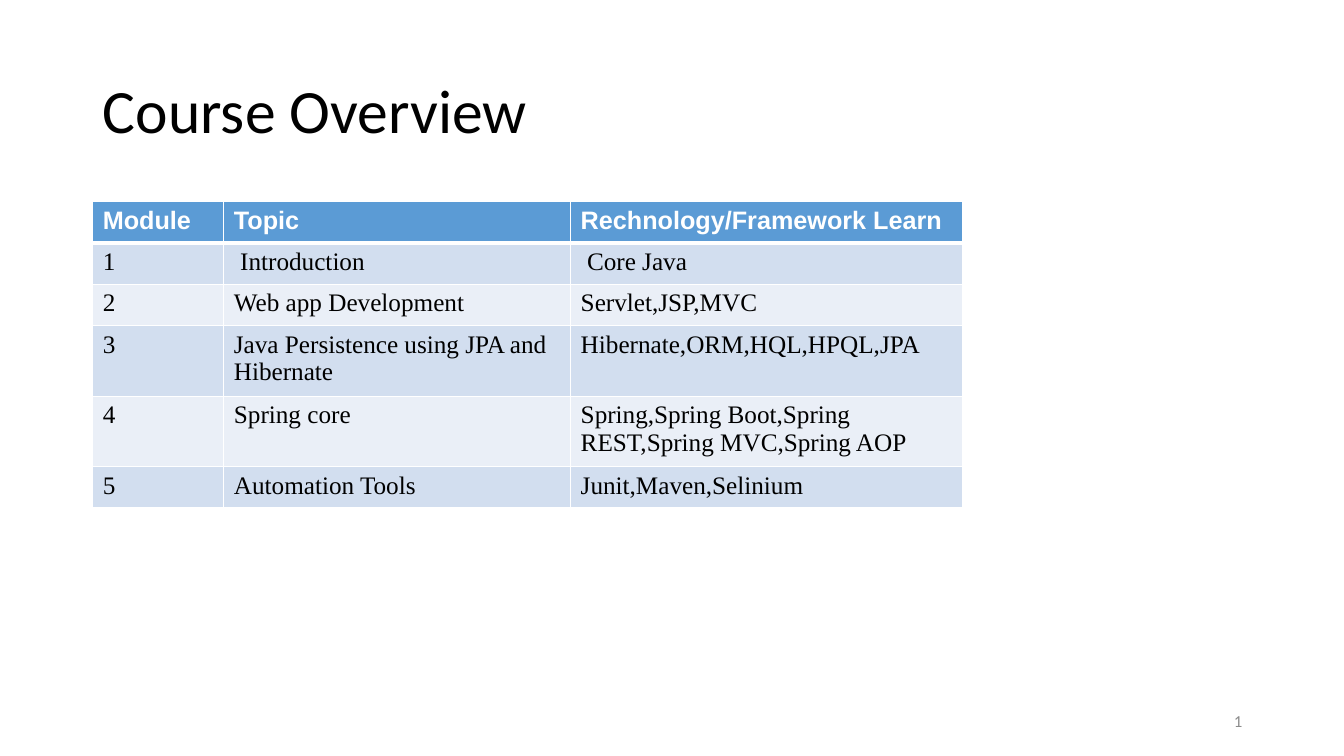
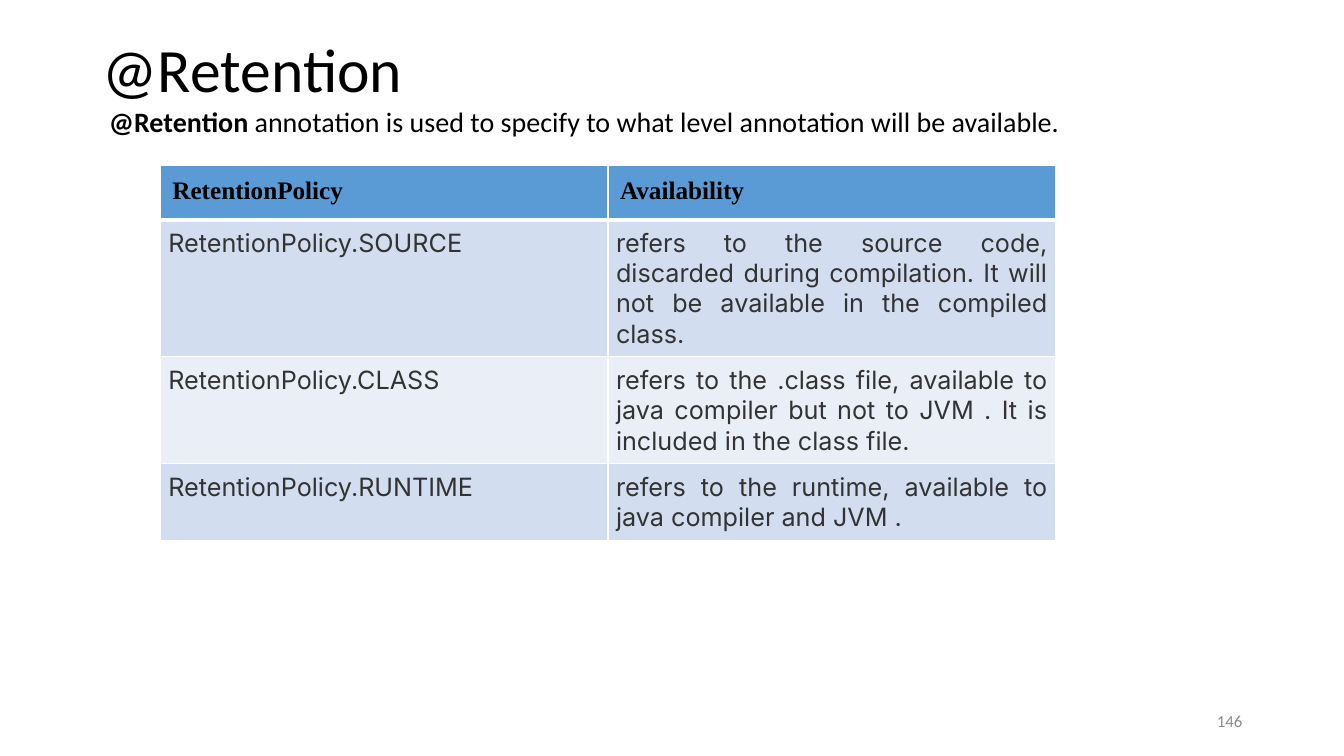
from dataclasses import dataclass

from lxml.etree import SubElement
from pptx import Presentation
from pptx.dml.color import RGBColor
from pptx.enum.text import MSO_ANCHOR, MSO_AUTO_SIZE, PP_ALIGN
from pptx.oxml import parse_xml
from pptx.oxml.ns import nsdecls, qn
from pptx.presentation import Presentation as Deck
from pptx.slide import Slide
from pptx.table import _Cell
from pptx.text.text import _Paragraph
from pptx.util import Inches, Pt

# Shared colours and fonts
BLACK = RGBColor(0x00, 0x00, 0x00)
WHITE = RGBColor(0xFF, 0xFF, 0xFF)
DARK_GRAY = RGBColor(0x33, 0x33, 0x33)
NUMBER_GRAY = RGBColor(0x8C, 0x8C, 0x8C)
HEADER_BLUE = RGBColor(0x5B, 0x9B, 0xD5)
BAND_COLORS = (RGBColor(0xD2, 0xDE, 0xEF), RGBColor(0xEA, 0xEF, 0xF7))
MAIN_FONT = "Calibri"
SERIF_FONT = "Times New Roman"

# Shared measures, in inches unless named otherwise
LEFT, CONTENT_WIDTH = 0.92, 11.5
ROW_HEIGHT = 0.41
THIN_POINTS, THICK_POINTS = 1, 3
TITLE_ONLY, TITLE_AND_CONTENT = 5, 1


@dataclass(frozen=True)
class TextStyle:
    font: str
    size: int
    color: RGBColor
    bold: bool = False


@dataclass(frozen=True)
class CellStyle:
    text: TextStyle
    side_margin: float = 0.1
    end_margin: float = 0.05
    align: PP_ALIGN = PP_ALIGN.LEFT


@dataclass(frozen=True)
class TableSpec:
    left: float
    top: float
    column_widths: tuple[float, ...]
    header: CellStyle
    body: CellStyle
    rows: tuple[tuple[str, ...], ...]


TITLE_STYLE = TextStyle(MAIN_FONT, 44, BLACK)
NUMBER_STYLE = TextStyle(MAIN_FONT, 12, NUMBER_GRAY)
LEAD_STYLE = TextStyle(MAIN_FONT, 20, BLACK)
LEAD_BOLD_STYLE = TextStyle(MAIN_FONT, 20, BLACK, bold=True)

COURSE_TABLE = TableSpec(
    left=LEFT,
    top=2,
    column_widths=(1.3, 3.44, 3.89),
    header=CellStyle(TextStyle("Arial", 18, WHITE, bold=True)),
    body=CellStyle(TextStyle(SERIF_FONT, 18, BLACK)),
    rows=(
        ("Module", "Topic", "Rechnology/Framework Learn"),
        ("1", " Introduction", " Core Java"),
        ("2", "Web app Development", "Servlet,JSP,MVC"),
        ("3", "Java Persistence using JPA and Hibernate", "Hibernate,ORM,HQL,HPQL,JPA"),
        ("4", "Spring core", "Spring,Spring Boot,Spring REST,Spring MVC,Spring AOP"),
        ("5", "Automation Tools", "Junit,Maven,Selinium"),
    ),
)

RETENTION_TABLE = TableSpec(
    left=1.59,
    top=1.64,
    column_widths=(4.44, 4.44),
    header=CellStyle(TextStyle(SERIF_FONT, 18, BLACK, bold=True), 0.12, 0.12),
    body=CellStyle(TextStyle("Inter", 18, DARK_GRAY), 0.08, 0.08, PP_ALIGN.JUSTIFY),
    rows=(
        ("RetentionPolicy", "Availability"),
        (
            "RetentionPolicy.SOURCE",
            "refers to the source code, discarded during compilation. "
            "It will not be available in the compiled class.",
        ),
        (
            "RetentionPolicy.CLASS",
            "refers to the .class file, available to java compiler but not to JVM . "
            "It is included in the class file.",
        ),
        (
            "RetentionPolicy.RUNTIME",
            "refers to the runtime, available to java compiler and JVM .",
        ),
    ),
)


def add_span(para: _Paragraph, text: str, style: TextStyle) -> None:
    span = para.add_run()
    span.text = text
    span.font.name = style.font
    span.font.size = Pt(style.size)
    span.font.bold = style.bold
    span.font.color.rgb = style.color


def add_page(deck: Deck, layout: int, title: str, top: float, height: float, number: str) -> Slide:
    """Add a page with its title and page number."""
    page = deck.slides.add_slide(deck.slide_layouts[layout])
    box = page.shapes.title
    box.left, box.top = Inches(LEFT), Inches(top)
    box.width, box.height = Inches(CONTENT_WIDTH), Inches(height)
    frame = box.text_frame
    frame.auto_size = MSO_AUTO_SIZE.NONE
    frame.vertical_anchor = MSO_ANCHOR.MIDDLE
    para = frame.paragraphs[0]
    para.alignment = PP_ALIGN.LEFT
    para.line_spacing = 0.9
    add_span(para, title, TITLE_STYLE)

    # Page number, bottom right
    number_box = page.shapes.add_textbox(Inches(9.42), Inches(6.95), Inches(3), Inches(0.4))
    number_frame = number_box.text_frame
    number_frame.word_wrap = True
    number_frame.vertical_anchor = MSO_ANCHOR.MIDDLE
    number_para = number_frame.paragraphs[0]
    number_para.alignment = PP_ALIGN.RIGHT
    add_span(number_para, number, NUMBER_STYLE)
    return page


def set_borders(cell: _Cell, top_points: int, bottom_points: int) -> None:
    """Draw white cell borders; they must precede the fill in the XML."""
    widths = {"lnL": THIN_POINTS, "lnR": THIN_POINTS, "lnT": top_points, "lnB": bottom_points}
    properties = cell._tc.get_or_add_tcPr()
    for position, (tag, points) in enumerate(widths.items()):
        border = parse_xml(
            f'<a:{tag} {nsdecls("a")} w="{Pt(points)}"><a:solidFill>'
            f'<a:srgbClr val="{WHITE}"/></a:solidFill></a:{tag}>'
        )
        properties.insert(position, border)


def fill_cell(cell: _Cell, text: str, style: CellStyle, fill: RGBColor) -> None:
    cell.fill.solid()
    cell.fill.fore_color.rgb = fill
    cell.margin_left = cell.margin_right = Inches(style.side_margin)
    cell.margin_top = cell.margin_bottom = Inches(style.end_margin)
    para = cell.text_frame.paragraphs[0]
    para.alignment = style.align
    add_span(para, text, style.text)


def add_banded_table(page: Slide, spec: TableSpec) -> None:
    """Add a table with a header row; rows grow with their text."""
    table = page.shapes.add_table(
        len(spec.rows),
        len(spec.column_widths),
        Inches(spec.left),
        Inches(spec.top),
        Inches(sum(spec.column_widths)),
        Inches(ROW_HEIGHT * len(spec.rows)),
    ).table
    for column, width in zip(table.columns, spec.column_widths):
        column.width = Inches(width)
    for row_index, texts in enumerate(spec.rows):
        table.rows[row_index].height = Inches(ROW_HEIGHT)
        is_header = row_index == 0
        style = spec.header if is_header else spec.body
        fill = HEADER_BLUE if is_header else BAND_COLORS[(row_index - 1) % 2]
        top_points = THICK_POINTS if row_index == 1 else THIN_POINTS
        bottom_points = THICK_POINTS if is_header else THIN_POINTS
        for column_index, text in enumerate(texts):
            cell = table.cell(row_index, column_index)
            fill_cell(cell, text, style, fill)
            set_borders(cell, top_points, bottom_points)


def add_lead(page: Slide, term: str, explanation: str) -> None:
    """Write the unbulleted lead sentence in the body placeholder."""
    body = page.placeholders[1]
    body.left, body.top = Inches(LEFT), Inches(1.02)
    body.width, body.height = Inches(CONTENT_WIDTH), Inches(5.74)
    body.text_frame.auto_size = MSO_AUTO_SIZE.NONE
    para = body.text_frame.paragraphs[0]
    para.line_spacing = 0.9
    para.space_before = Pt(0)
    properties = para._p.get_or_add_pPr()
    properties.set("marL", str(Inches(0.06)))
    properties.set("indent", "0")
    SubElement(properties, qn("a:buNone"))
    add_span(para, term, LEAD_BOLD_STYLE)
    add_span(para, explanation, LEAD_STYLE)


def main() -> None:
    deck = Presentation()
    deck.slide_width, deck.slide_height = Inches(13.33), Inches(7.5)

    # Course overview
    overview = add_page(deck, TITLE_ONLY, "Course Overview", 0.4, 1.45, "1")
    add_banded_table(overview, COURSE_TABLE)

    # Retention policies
    retention = add_page(deck, TITLE_AND_CONTENT, "@Retention", 0.37, 0.69, "146")
    add_lead(
        retention,
        "@Retention",
        " annotation is used to specify to what level annotation will be available.",
    )
    add_banded_table(retention, RETENTION_TABLE)

    deck.save("out.pptx")


if __name__ == "__main__":
    main()
